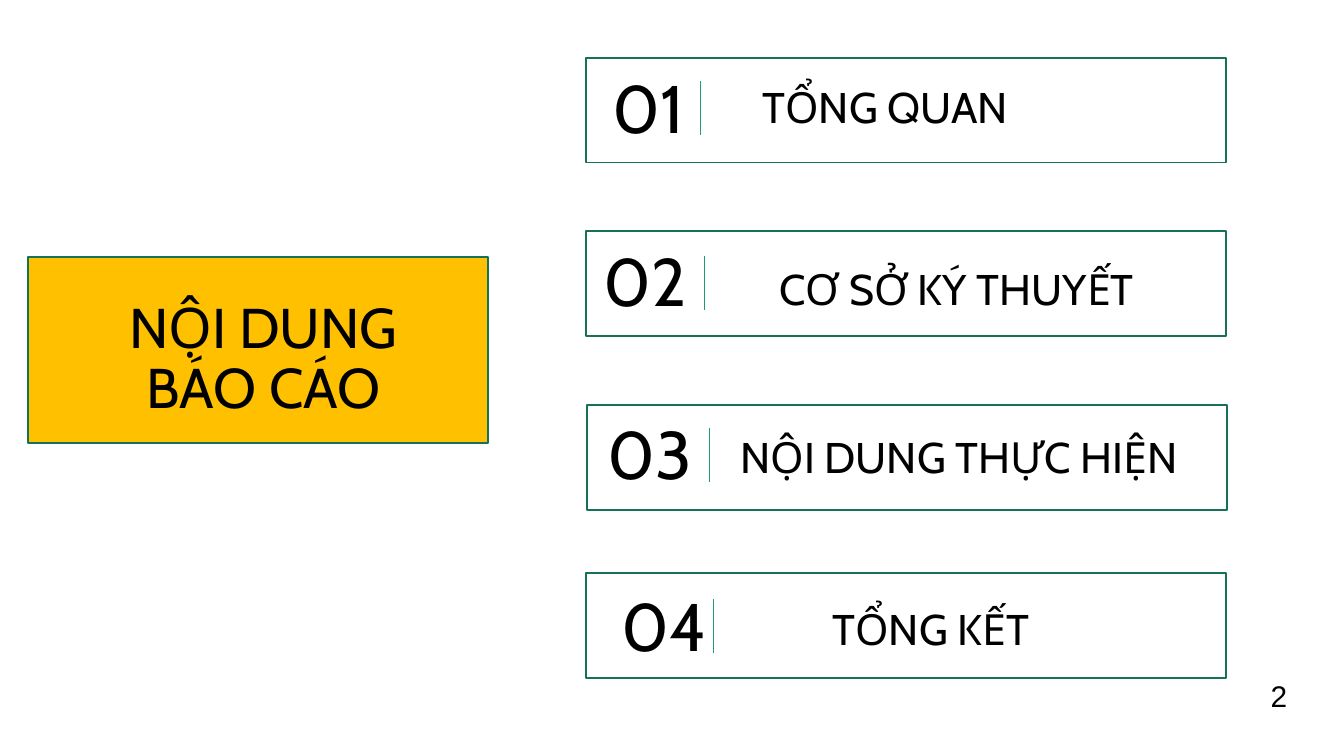
import pptx
import pptx.dml.color
import pptx.enum.shapes
import pptx.enum.text
import pptx.oxml
import pptx.util

EMU_PER_PX = 4572
GREEN = "157259"
TEAL = "1D9A78"
AMBER = "FFC000"
WHITE = "FFFFFF"
BLACK = "000000"
ALIGN = pptx.enum.text.PP_ALIGN
ANCHOR = pptx.enum.text.MSO_ANCHOR


def px(length):
    return pptx.util.Emu(length * EMU_PER_PX)


def color(value):
    return pptx.dml.color.RGBColor.from_string(value)


class Agenda:
    font = "Cabin"

    def __init__(self, slide):
        self.slide = slide

    def panel(self, left, top, width, height, fill):
        shape = self.slide.shapes.add_shape(
            pptx.enum.shapes.MSO_SHAPE.RECTANGLE,
            px(left), px(top), px(width), px(height))
        shape.shadow.inherit = False
        shape.fill.solid()
        shape.fill.fore_color.rgb = color(fill)
        shape.line.color.rgb = color(GREEN)
        shape.line.width = pptx.util.Pt(1)

    def text(self, left, top, width, height, wording, size, align=ALIGN.LEFT,
             anchor=ANCHOR.MIDDLE, font=font, spacing=0.9, inset=20):
        box = self.slide.shapes.add_textbox(
            px(left), px(top), px(width), px(height))
        frame = box.text_frame
        frame.word_wrap = True
        frame.vertical_anchor = anchor
        frame.margin_left = frame.margin_right = px(20)
        frame.margin_top = frame.margin_bottom = px(inset)
        paragraph = frame.paragraphs[0]
        paragraph.alignment = align
        paragraph.line_spacing = spacing
        run = paragraph.add_run()
        run.text = wording
        run.font.name = font
        run.font.size = pptx.util.Pt(size)
        run.font.color.rgb = color(BLACK)

    def divider(self, x, top, length=80):
        line = self.slide.shapes.add_connector(
            pptx.enum.shapes.MSO_CONNECTOR.STRAIGHT,
            px(x), px(top), px(x), px(top + length))
        line.line.color.rgb = color(TEAL)
        line.line.width = pptx.util.Pt(0.5)
        properties = line._element.spPr
        properties.append(pptx.oxml.parse_xml(
            '<a:effectLst xmlns:a='
            '"http://schemas.openxmlformats.org/drawingml/2006/main"/>'))


def main():
    presentation = pptx.Presentation()
    presentation.slide_width = px(2000)
    presentation.slide_height = px(1125)
    agenda = Agenda(presentation.slides.add_slide(presentation.slide_layouts[6]))

    agenda.panel(42, 383, 684, 276, AMBER)
    agenda.text(133, 413, 518, 246, "NỘI DUNG BÁO CÁO", 30, ALIGN.CENTER)

    rows = [
        ((872, 86), (796, 103, 242), ALIGN.RIGHT, (1043, 121),
         (1115, 92, 1042), "TỔNG QUAN"),
        ((872, 344), (800, 361, 242), ALIGN.RIGHT, (1048, 381),
         (1140, 362, 684), "CƠ SỞ KÝ THUYẾT"),
        ((874, 603), (808, 618, 242), ALIGN.RIGHT, (1056, 637),
         (1082, 613, 870), "NỘI DUNG THỰC HIỆN"),
        ((872, 853), (906, 874, 234), ALIGN.LEFT, (1062, 892),
         (1219, 869, 684), "TỔNG KẾT"),
    ]
    for index, (panel, number, align, divider, title, wording) in enumerate(rows, 1):
        agenda.panel(*panel, 952, 156, WHITE)
        agenda.text(*number, 126, f"{index:02d}", 36, align)
        agenda.text(*title, 126, wording, 23, anchor=ANCHOR.BOTTOM)
        agenda.divider(*divider)

    agenda.text(1856, 999, 94, 74, "2", 16, ALIGN.CENTER, ANCHOR.TOP,
                font="Arial", spacing=1.0, inset=10)
    presentation.save("out.pptx")


if __name__ == "__main__":
    main()
